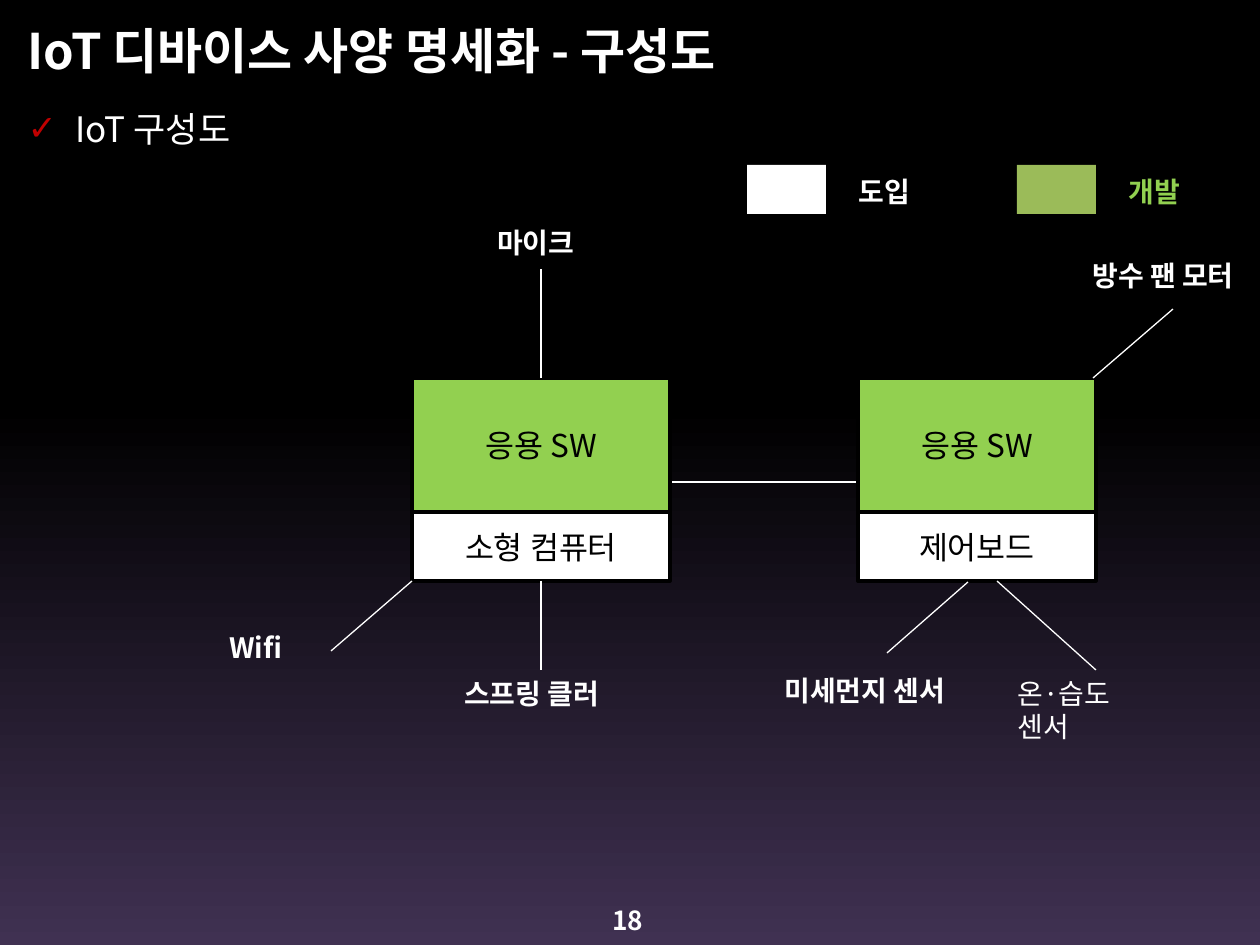
from dataclasses import dataclass

import pptx
import pptx.util
from lxml import etree
from pptx.dml.color import RGBColor
from pptx.enum.shapes import MSO_CONNECTOR, MSO_SHAPE
from pptx.enum.text import MSO_ANCHOR, MSO_AUTO_SIZE, PP_ALIGN
from pptx.oxml.ns import qn

PX = pptx.util.Inches(1) / 126
TOP, LEFT, BOTTOM, RIGHT = range(4)


def emu(px):
    return pptx.util.Emu(round(px * PX))


@dataclass(frozen=True)
class Theme:
    font: str = "Noto Sans CJK KR"
    white: str = "FFFFFF"
    black: str = "000000"
    purple: str = "403152"
    green: str = "92D050"
    olive: str = "9BBB59"
    red: str = "C00000"
    title: int = 28
    body: int = 20
    box: int = 18
    label: int = 16
    page: int = 15


class DiagramSlide:
    def __init__(self, slide, theme):
        self.slide = slide
        self.theme = theme

    def background(self):
        fill = self.slide.background.fill
        fill.gradient()
        fill.gradient_angle = 270
        stops = zip(fill.gradient_stops, (0.43, 1), (self.theme.black, self.theme.purple))
        for stop, position, color in stops:
            stop.position = position
            stop.color.rgb = RGBColor.from_string(color)

    def place(self, shape, area):
        shape.left, shape.top, shape.width, shape.height = map(emu, area)

    def set_text(self, shape, text, size, color, bold=False, align=PP_ALIGN.LEFT,
                 anchor=MSO_ANCHOR.TOP):
        frame = shape.text_frame
        frame.text = text
        frame.word_wrap = True
        frame.auto_size = MSO_AUTO_SIZE.NONE
        frame.vertical_anchor = anchor
        paragraph = frame.paragraphs[0]
        paragraph.alignment = align
        for run in paragraph.runs:
            run.font.name = self.theme.font
            run.font.size = pptx.util.Pt(size)
            run.font.bold = bold
            run.font.color.rgb = RGBColor.from_string(color)
            east_asian = etree.SubElement(run.font._element, qn("a:ea"))
            east_asian.set("typeface", self.theme.font)
        return paragraph

    def title(self, text, area):
        heading = self.slide.shapes.title
        self.place(heading, area)
        self.set_text(heading, text, self.theme.title, self.theme.white, True,
                      anchor=MSO_ANCHOR.MIDDLE)

    def check_item(self, text, area):
        body = self.slide.placeholders[1]
        self.place(body, area)
        paragraph = self.set_text(body, text, self.theme.body, self.theme.white)
        paragraph.space_before = pptx.util.Pt(0)
        props = paragraph._p.get_or_add_pPr()
        props.set("marL", str(emu(48)))
        props.set("indent", str(-emu(48)))
        bullet_color = etree.SubElement(props, qn("a:buClr"))
        etree.SubElement(bullet_color, qn("a:srgbClr")).set("val", self.theme.red)
        etree.SubElement(props, qn("a:buChar")).set("char", "✓")

    def label(self, text, area, color=None, bold=True, size=None):
        box = self.slide.shapes.add_textbox(*map(emu, area))
        self.set_text(box, text, size or self.theme.label, color or self.theme.white, bold)

    def block(self, area, color, text=None):
        """Draw a plain swatch, or an outlined box when it carries text."""
        block = self.slide.shapes.add_shape(MSO_SHAPE.RECTANGLE, *map(emu, area))
        block.shadow.inherit = False
        block.fill.solid()
        block.fill.fore_color.rgb = RGBColor.from_string(color)
        if text is None:
            block.line.fill.background()
        else:
            block.line.color.rgb = RGBColor.from_string(self.theme.black)
            block.line.width = pptx.util.Pt(2)
            self.set_text(block, text, self.theme.box, self.theme.black,
                          align=PP_ALIGN.CENTER, anchor=MSO_ANCHOR.MIDDLE)
        return block

    def device(self, left, width, board):
        """Stack the application box on its board; return both."""
        app = self.block((left, 378, width, 134), self.theme.green, "응용 SW")
        base = self.block((left, 512, width, 69), self.theme.white, board)
        return app, base

    def link(self, start, end, joined=None, side=None):
        """Draw a line, joining its start to a side of a shape if one is given."""
        line = self.slide.shapes.add_connector(
            MSO_CONNECTOR.STRAIGHT, *map(emu, start + end))
        line.line.color.rgb = RGBColor.from_string(self.theme.white)
        line.line.width = pptx.util.Pt(0.75)
        etree.SubElement(line._element.spPr, qn("a:effectLst"))
        if joined is not None:
            line.begin_connect(joined, side)


def main():
    deck = pptx.Presentation()
    deck.slide_width, deck.slide_height = emu(1260), emu(945)
    theme = Theme()
    diagram = DiagramSlide(deck.slides.add_slide(deck.slide_layouts[1]), theme)

    diagram.background()
    diagram.title("IoT 디바이스 사양 명세화 - 구성도", (15, 10, 1221, 79))
    diagram.check_item("IoT 구성도", (15, 101, 1230, 709))
    diagram.label("18", (600, 898, 84, 47), size=theme.page)

    legend = (("도입", 747, theme.white, theme.white),
              ("개발", 1017, theme.olive, theme.green))
    for name, left, swatch, color in legend:
        diagram.block((left, 165, 79, 49), swatch)
        diagram.label(name, (left + 99, 168, 82, 47), color)

    hub = diagram.block((412, 383, 258, 198), theme.white)
    diagram.link((670, 482), (858, 482), hub, RIGHT)
    hub_app, hub_board = diagram.device(412, 258, "소형 컴퓨터")
    diagram.device(858, 238, "제어보드")

    diagram.link((541, 378), (541, 269), hub_app, TOP)
    diagram.link((541, 581), (541, 670), hub_board, BOTTOM)
    corner_lines = (((412, 581), (331, 651)),
                    ((1173, 309), (1093, 378)),
                    ((968, 582), (887, 653)),
                    ((997, 581), (1096, 670)))
    for start, end in corner_lines:
        diagram.link(start, end)

    parts = (("마이크", 485, 219, 111),
             ("방수 팬 모터", 1080, 252, 180),
             ("Wifi", 217, 624, 90),
             ("스프링 클러", 452, 670, 176),
             ("미세먼지 센서", 772, 667, 205))
    for name, left, top, width in parts:
        diagram.label(name, (left, top, width, 47))
    diagram.label("온·습도 센서", (1005, 670, 150, 82), bold=False)

    deck.save("out.pptx")


if __name__ == "__main__":
    main()
